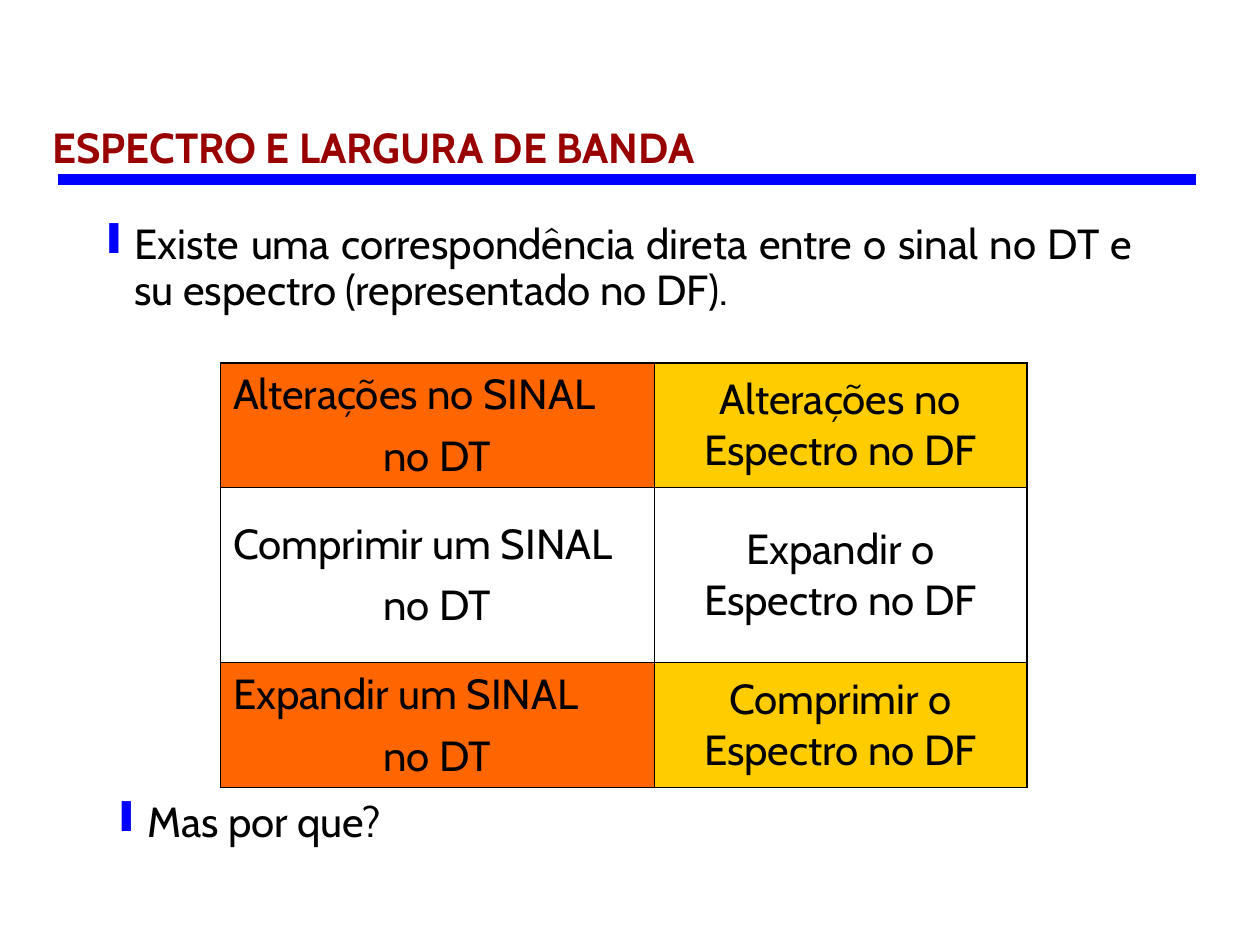
from dataclasses import dataclass

from lxml import etree
from pptx import Presentation
from pptx.dml.color import RGBColor
from pptx.enum.shapes import MSO_CONNECTOR
from pptx.enum.text import MSO_ANCHOR, PP_ALIGN
from pptx.oxml.ns import qn
from pptx.util import Inches, Pt

LEFT, MID, JUST = PP_ALIGN.LEFT, PP_ALIGN.CENTER, PP_ALIGN.JUSTIFY
TOP, CENTER, BOTTOM = MSO_ANCHOR.TOP, MSO_ANCHOR.MIDDLE, MSO_ANCHOR.BOTTOM
STRAIGHT = MSO_CONNECTOR.STRAIGHT
WIDE, HIGH = Inches(10), Inches(7.5)


@dataclass(frozen=True)
class Theme:
    font: str = "Cabin"
    size: float = 24
    gap: float = 6
    ink: str = "000000"
    title: str = "990000"
    accent: str = "0000FF"
    fills: tuple = ("FF6600", "FFCC00")
    rule: float = 6
    outer: float = 1.08
    inner: float = 0.45


THEME = Theme()
ROWS = (
    (("Alterações no SINAL", "no DT"), ("Alterações no Espectro no DF",)),
    (("Comprimir um SINAL", "no DT"), ("Expandir o Espectro no DF",)),
    (("Expandir um SINAL", "no DT"), ("Comprimir o Espectro no DF",)),
)


def share(x, y, w, h):
    """Turn shares of the slide into lengths."""
    return int(x * WIDE), int(y * HIGH), int(w * WIDE), int(h * HIGH)


def style(para, color=THEME.ink, bold=False):
    for run in para.runs:
        run.font.name = THEME.font
        run.font.size = Pt(THEME.size)
        run.font.bold = bold
        run.font.color.rgb = RGBColor.from_string(color)


def add_bullet(para):
    """Give the paragraph a coloured bar with a hanging indent."""
    props = para._p.get_or_add_pPr()
    props.set("marL", str(Inches(0.21)))
    props.set("indent", str(Inches(-0.21)))
    color = etree.SubElement(props, qn("a:buClr"))
    etree.SubElement(color, qn("a:srgbClr"), val=THEME.accent)
    etree.SubElement(props, qn("a:buChar"), char="❙")


def add_text(slide, area, text, anchor=TOP, bullet=False, **look):
    frame = slide.shapes.add_textbox(*share(*area)).text_frame
    frame.word_wrap = True
    frame.vertical_anchor = anchor
    frame.text = text
    para = frame.paragraphs[0]
    para.alignment = JUST
    para.line_spacing = 0.9
    if bullet:
        add_bullet(para)
    style(para, **look)


def add_rule(slide, left, right, y):
    line = slide.shapes.add_connector(
        STRAIGHT, int(left * WIDE), int(y * HIGH), int(right * WIDE), int(y * HIGH))
    line.line.color.rgb = RGBColor.from_string(THEME.accent)
    line.line.width = Pt(THEME.rule)
    etree.SubElement(line._element.spPr, qn("a:effectLst"))


def add_edges(cell, edges):
    """Draw the cell's borders; edges maps L, R, T, B to outer or not."""
    props = cell._tc.get_or_add_tcPr()
    for spot, (side, outer) in enumerate(edges.items()):
        width = Pt(THEME.outer if outer else THEME.inner)
        edge = etree.Element(qn(f"a:ln{side}"), w=str(width))
        fill = etree.SubElement(edge, qn("a:solidFill"))
        etree.SubElement(fill, qn("a:srgbClr"), val=THEME.ink)
        props.insert(spot, edge)


def fill_cell(cell, lines, color):
    cell.vertical_anchor = CENTER
    cell.margin_left = cell.margin_right = Inches(0.1)
    cell.margin_top = cell.margin_bottom = Inches(0.05)
    if color:
        cell.fill.solid()
        cell.fill.fore_color.rgb = RGBColor.from_string(color)
    else:
        cell.fill.background()
    cell.text_frame.text = "\n".join(lines)
    last = len(lines) - 1
    for i, para in enumerate(cell.text_frame.paragraphs):
        para.alignment = MID if i == last else LEFT
        if i:
            para.space_before = Pt(THEME.gap)
        style(para)


def add_grid(slide, area, widths, heights):
    rows, cols = len(heights), len(widths)
    table = slide.shapes.add_table(rows, cols, *share(*area)).table
    table.first_row = table.horz_banding = False
    for col, width in zip(table.columns, widths):
        col.width = Inches(width)
    for row, height in zip(table.rows, heights):
        row.height = Inches(height)
    for r, texts in enumerate(ROWS):
        for c, lines in enumerate(texts):
            cell = table.cell(r, c)
            fill_cell(cell, lines, None if r % 2 else THEME.fills[c])
            add_edges(cell, {"L": c == 0, "R": c == cols - 1,
                             "T": r == 0, "B": r == rows - 1})


def main():
    deck = Presentation()
    deck.slide_width, deck.slide_height = WIDE, HIGH
    slide = deck.slides.add_slide(deck.slide_layouts[6])
    add_rule(slide, 0.046, 0.949, 0.19)
    add_text(slide, (0.076, 0.23, 0.833, 0.11),
             "Existe uma correspondência direta entre o sinal no DT e "
             "su espectro (representado no DF).", bullet=True)
    add_text(slide, (0.032, 0.023, 0.968, 0.166), "ESPECTRO E LARGURA DE BANDA",
             BOTTOM, color=THEME.title, bold=True)
    add_grid(slide, (0.175, 0.384, 0.64, 0.449), (3.44, 2.96), (0.99, 1.39, 0.99))
    add_text(slide, (0.086, 0.841, 0.261, 0.061), "Mas por que?", bullet=True)
    deck.save("out.pptx")


if __name__ == "__main__":
    main()
